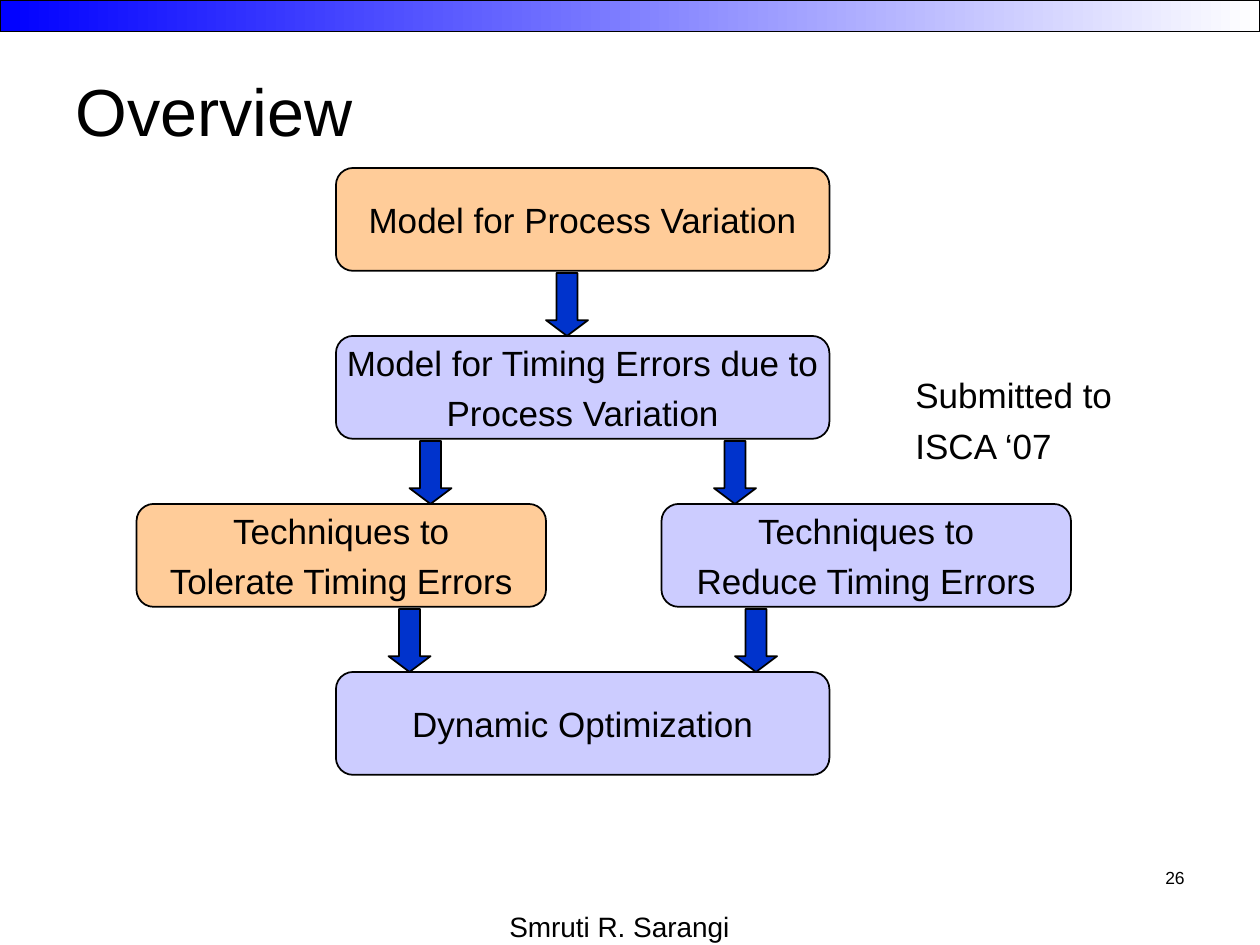
from dataclasses import dataclass

from pptx import Presentation
from pptx.dml.color import RGBColor
from pptx.enum.shapes import MSO_SHAPE
from pptx.enum.text import MSO_ANCHOR, MSO_AUTO_SIZE, PP_ALIGN
from pptx.util import Inches, Pt

RECTANGLE, ROUNDED, DOWN_ARROW = (
    MSO_SHAPE.RECTANGLE, MSO_SHAPE.ROUNDED_RECTANGLE, MSO_SHAPE.DOWN_ARROW)
LEFT, CENTER, RIGHT = PP_ALIGN.LEFT, PP_ALIGN.CENTER, PP_ALIGN.RIGHT
TOP, MIDDLE = MSO_ANCHOR.TOP, MSO_ANCHOR.MIDDLE
GROW = MSO_AUTO_SIZE.SHAPE_TO_FIT_TEXT

GRID = Inches(1) / 12
FIRST_TIER, TIER_PITCH, BOX_ROWS = 16, 16, 9.8
ARROW_COLUMNS, ARROW_ROWS = 4, 6


@dataclass(frozen=True)
class Theme:
    """Hold the colours and type sizes of the slide."""
    font: str = "Arial"
    ink: RGBColor = RGBColor(0, 0, 0)
    blue: RGBColor = RGBColor(0, 0, 0xFF)
    white: RGBColor = RGBColor(0xFF, 0xFF, 0xFF)
    orange: RGBColor = RGBColor(0xFF, 0xCC, 0x99)
    lavender: RGBColor = RGBColor(0xCC, 0xCC, 0xFF)
    arrow: RGBColor = RGBColor(0, 0x33, 0xCC)
    title: int = 38
    body: int = 20
    footer: int = 16
    number: int = 10
    gap: int = 5


THEME = Theme()


def place(*cells):
    """Turn grid columns and rows into slide lengths."""
    return [round(cell * GRID) for cell in cells]


def write(shape, text, size, align=LEFT, anchor=TOP, wrap=True):
    """Put formatted text into a shape."""
    frame = shape.text_frame
    frame.text = text
    frame.word_wrap = wrap
    frame.vertical_anchor = anchor
    for index, para in enumerate(frame.paragraphs):
        para.alignment = align
        para.space_before = Pt(THEME.gap if index else 0)
        for span in para.runs:
            span.font.name = THEME.font
            span.font.size = Pt(size)
            span.font.color.rgb = THEME.ink


def add_label(page, cells, text, size, **layout):
    """Add a text box on the grid."""
    box = page.shapes.add_textbox(*place(*cells))
    write(box, text, size, **layout)
    return box


def add_outlined(page, kind, cells, color=None):
    """Add a preset shape with a thin dark outline."""
    shape = page.shapes.add_shape(kind, *place(*cells))
    shape.shadow.inherit = False
    shape.line.color.rgb = THEME.ink
    shape.line.width = Pt(1)
    if color is not None:
        shape.fill.solid()
        shape.fill.fore_color.rgb = color
    return shape


def add_banner(page):
    """Add the gradient strip along the top edge."""
    fill = add_outlined(page, RECTANGLE, (0, 0, 120, 3)).fill
    fill.gradient()
    fill.gradient_angle = 0
    for stop, color in zip(fill.gradient_stops, (THEME.blue, THEME.white)):
        stop.color.rgb = color


def add_step(page, tier, column, columns, color, text):
    """Add a rounded box on one tier of the flow."""
    row = FIRST_TIER + tier * TIER_PITCH
    box = add_outlined(page, ROUNDED, (column, row, columns, BOX_ROWS), color)
    write(box, text, THEME.body, align=CENTER, anchor=MIDDLE, wrap=False)


def add_arrow(page, tier, column):
    """Add a down arrow that ends at the tier below."""
    row = FIRST_TIER + (tier + 1) * TIER_PITCH - ARROW_ROWS
    cells = (column, row, ARROW_COLUMNS, ARROW_ROWS)
    arrow = add_outlined(page, DOWN_ARROW, cells, THEME.arrow)
    arrow.adjustments[0] = 0.5
    arrow.adjustments[1] = 0.375


def main():
    """Build the overview slide and save it."""
    deck = Presentation()
    deck.slide_width, deck.slide_height = place(120, 90)
    page = deck.slides.add_slide(deck.slide_layouts[6])

    add_banner(page)
    add_label(page, (6, 3, 108, 15), "Overview", THEME.title, anchor=MIDDLE)

    steps = (
        (0, 32, 47, THEME.orange, "Model for Process Variation"),
        (1, 32, 47, THEME.lavender,
         "Model for Timing Errors due to\nProcess Variation"),
        (2, 13, 39, THEME.orange, "Techniques to\nTolerate Timing Errors"),
        (2, 63, 39, THEME.lavender, "Techniques to\nReduce Timing Errors"),
        (3, 32, 47, THEME.lavender, "Dynamic Optimization"),
    )
    for step in steps:
        add_step(page, *step)
    for tier, columns in enumerate(((52,), (39, 68), (37, 70))):
        for column in columns:
            add_arrow(page, tier, column)

    note = add_label(page, (86, 35, 22, 10), "Submitted to\nISCA ‘07",
                     THEME.body)
    note.text_frame.auto_size = GROW
    add_label(page, (40, 86, 38, 4), "Smruti R. Sarangi", THEME.footer,
              align=CENTER)
    add_label(page, (86, 82, 28, 6), "26", THEME.number, align=RIGHT)

    deck.save("out.pptx")


if __name__ == "__main__":
    main()
